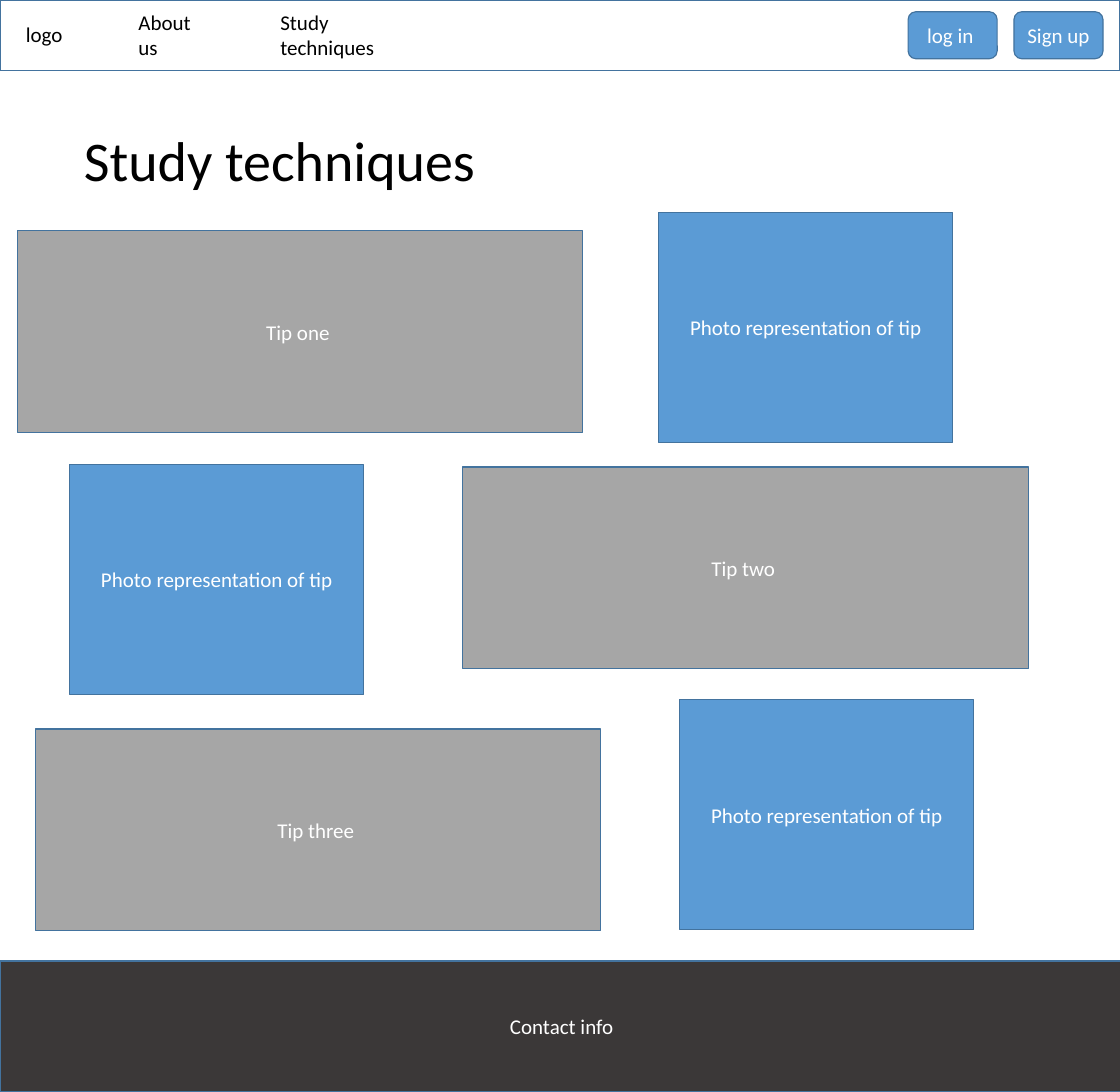
"""Wireframe of a study techniques web page, laid out on a square grid 64 columns wide."""
from pptx import Presentation, util as u
from pptx.dml.color import RGBColor
from pptx.enum import shapes, text

BLUE, GREY, DARK, EDGE = "5B9BD5", "A6A6A6", "3B3838", "43739E"
RECT, ROUND = shapes.MSO_SHAPE.RECTANGLE, shapes.MSO_SHAPE.ROUNDED_RECTANGLE

prs = Presentation()
prs.slide_width, prs.slide_height = u.Inches(13.33), u.Inches(13)
s = prs.slides.add_slide(prs.slide_layouts[6])
cell = prs.slide_width / 64


def write(sp, words, size, color):
    tf = sp.text_frame
    tf.word_wrap = True
    p = tf.paragraphs[0]
    p.text = words
    p.font.name, p.font.size = "Calibri", u.Pt(size)
    p.font.color.rgb = RGBColor.from_string(color)
    return tf, p


def box(kind, grid, fill=None, words=None):
    sp = s.shapes.add_shape(kind, *[round(n * cell) for n in grid])
    sp.shadow.inherit = False
    sp.line.color.rgb, sp.line.width = RGBColor.from_string(EDGE), u.Pt(1)
    if fill:
        sp.fill.solid()
        sp.fill.fore_color.rgb = RGBColor.from_string(fill)
    else:
        sp.fill.background()
    if words:
        tf, p = write(sp, words, 18, "FFFFFF")
        tf.vertical_anchor = text.MSO_ANCHOR.MIDDLE
        p.alignment = text.PP_ALIGN.CENTER


box(RECT, (0, 0, 64, 4.03))
for x, words in [(57.94, "Sign up"), (51.89, "log in ")]:
    box(ROUND, (x, 0.67, 5.09, 2.69), BLUE, words)

for grid, words, size in [
    ((1, 1, 3.31, 1.92), "logo", 18),
    ((7.44, 0.29, 4.94, 3.4), "About us", 18),
    ((15.55, 0.29, 6.82, 3.4), "Study techniques", 18),
    ((4.32, 6.96, 47.62, 4.37), "Study techniques", 48),
]:
    sp = s.shapes.add_textbox(*[round(n * cell) for n in grid])
    write(sp, words, size, "000000")

for tip, photo, words in [
    ((1, 13.2), (37.64, 12.14), "Tip one "),
    ((26.45, 26.69), (3.98, 26.55), "Tip two "),
    ((2.02, 41.67), (38.84, 39.99), "Tip three "),
]:
    box(RECT, (*tip, 32.31, 11.52), GREY, words)
    box(RECT, (*photo, 16.8, 13.15), BLUE, "Photo representation of tip")

box(RECT, (0, 54.93, 64.18, 7.49), DARK, "Contact info")

prs.save("out.pptx")
